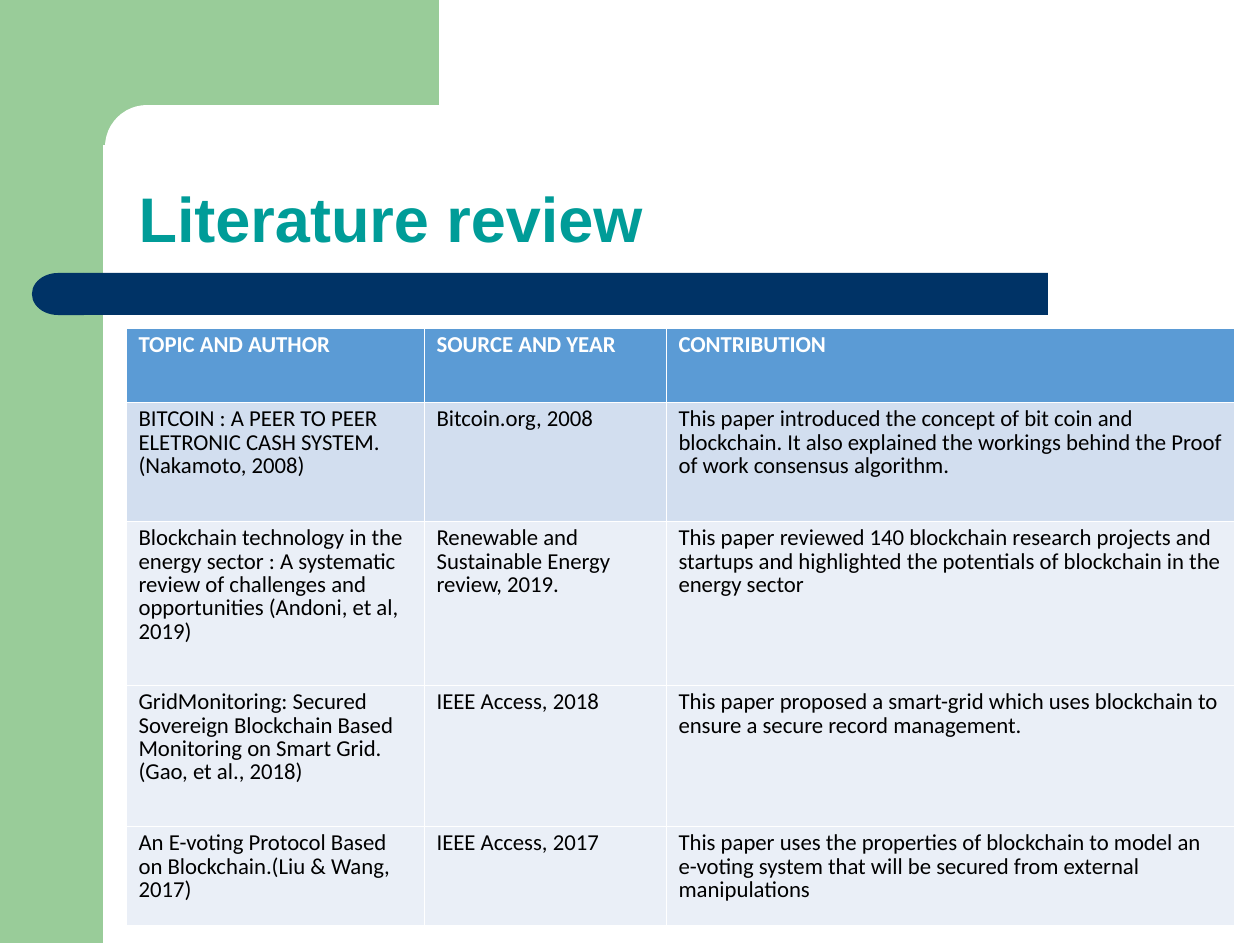
from dataclasses import dataclass

from lxml import etree
from pptx import Presentation
from pptx.dml.color import RGBColor
from pptx.enum.shapes import MSO_SHAPE
from pptx.enum.text import MSO_ANCHOR, MSO_AUTO_SIZE, PP_ALIGN
from pptx.oxml.ns import qn
from pptx.util import Emu, Pt

RECTANGLE = MSO_SHAPE.RECTANGLE
ROUNDED = MSO_SHAPE.ROUNDED_RECTANGLE
DELAY = MSO_SHAPE.FLOWCHART_DELAY
BOTTOM = MSO_ANCHOR.BOTTOM
TOP = MSO_ANCHOR.TOP
NO_FIT = MSO_AUTO_SIZE.NONE
LEFT = PP_ALIGN.LEFT

PX_PER_INCH = 126


@dataclass(frozen=True)
class Theme:
    green: str = "99CC99"
    navy: str = "003366"
    teal: str = "009C98"
    white: str = "FFFFFF"
    black: str = "000000"
    header: str = "5B9BD5"
    first_band: str = "D2DEEF"
    band: str = "EAEFF7"
    title_font: str = "Arial"
    table_font: str = "Calibri"
    title_size: int = 36
    table_size: int = 13
    border: float = 0.06


THEME = Theme()

COLUMNS = [298, 242, 568]
ROW_HEIGHTS = [74, 119, 164, 141, 99]
ROWS = [
    ("TOPIC AND AUTHOR", "SOURCE AND YEAR", "CONTRIBUTION"),
    (
        "BITCOIN : A PEER TO PEER ELETRONIC CASH SYSTEM. (Nakamoto, 2008)",
        "Bitcoin.org, 2008",
        "This paper introduced the concept of bit coin and blockchain. It also explained "
        "the workings behind the Proof of work consensus algorithm.",
    ),
    (
        "Blockchain technology in the energy sector : A systematic review of challenges "
        "and opportunities (Andoni, et al, 2019)",
        "Renewable and Sustainable Energy review, 2019.",
        "This paper reviewed 140 blockchain research projects and startups and highlighted "
        "the potentials of blockchain in the energy sector",
    ),
    (
        "GridMonitoring: Secured Sovereign Blockchain Based Monitoring on Smart Grid. "
        "(Gao, et al., 2018)",
        "IEEE Access, 2018",
        "This paper proposed a smart-grid which uses blockchain to ensure a secure record "
        "management.",
    ),
    (
        "An E-voting Protocol Based on Blockchain.(Liu & Wang, 2017)",
        "IEEE Access, 2017",
        "This paper uses the properties of blockchain to model an e-voting system that "
        "will be secured from external manipulations",
    ),
]


def px(length):
    return Emu(round(length * 914400 / PX_PER_INCH))


def color(value):
    return RGBColor.from_string(value)


def add_block(page, kind, box, fill):
    block = page.shapes.add_shape(kind, *map(px, box))
    block.shadow.inherit = False
    block.fill.solid()
    block.fill.fore_color.rgb = color(fill)
    block.line.fill.background()
    return block


def write(para, text, font, size, ink, bold, spacing):
    para.alignment = LEFT
    para.line_spacing = spacing
    span = para.add_run()
    span.text = text
    span.font.name = font
    span.font.size = Pt(size)
    span.font.bold = bold
    span.font.color.rgb = color(ink)


def add_corner(page, box):
    left, top, width, height = box
    side = 103
    add_block(page, RECTANGLE, (left, top, side, height), THEME.green)
    add_block(page, RECTANGLE, (left + 95, top, width - 95, 145), THEME.green)
    panel = add_block(page, ROUNDED, (left + 105, top + 105, 703, 84), THEME.white)
    panel.adjustments[0] = 0.5


def add_bar(page, box):
    left, top, width, height = box
    cap_width = 52
    add_block(page, RECTANGLE, (left + cap_width, top, width - cap_width, height), THEME.navy)
    cap = add_block(page, DELAY, (left, top, cap_width, height), THEME.navy)
    cap._element.spPr.find(qn("a:xfrm")).set("flipH", "1")


def place_title(page, box, text):
    title = page.shapes.title
    title.left, title.top, title.width, title.height = map(px, box)
    title._element.getparent().append(title._element)
    frame = title.text_frame
    frame.word_wrap = True
    frame.auto_size = NO_FIT
    frame.vertical_anchor = BOTTOM
    write(frame.paragraphs[0], text, THEME.title_font, THEME.title_size, THEME.teal, True, 0.9)


def set_borders(cell):
    properties = cell._tc.get_or_add_tcPr()
    for index, side in enumerate(("a:lnL", "a:lnR", "a:lnT", "a:lnB")):
        line = etree.Element(qn(side), w=str(Pt(THEME.border)))
        fill = etree.SubElement(line, qn("a:solidFill"))
        etree.SubElement(fill, qn("a:srgbClr"), val=THEME.white)
        properties.insert(index, line)


def add_review_table(page, left, top):
    box = (left, top, sum(COLUMNS), sum(ROW_HEIGHTS))
    table = page.shapes.add_table(len(ROWS), len(COLUMNS), *map(px, box)).table
    for column, width in zip(table.columns, COLUMNS):
        column.width = px(width)
    fills = [THEME.header, THEME.first_band] + [THEME.band] * (len(ROWS) - 2)
    for index, (row, height, texts) in enumerate(zip(table.rows, ROW_HEIGHTS, ROWS)):
        row.height = px(height)
        is_header = index == 0
        ink = THEME.white if is_header else THEME.black
        for cell, text in zip(row.cells, texts):
            cell.fill.solid()
            cell.fill.fore_color.rgb = color(fills[index])
            cell.vertical_anchor = TOP
            set_borders(cell)
            write(cell.text_frame.paragraphs[0], text, THEME.table_font,
                  THEME.table_size, ink, is_header, 0.84)


def main():
    deck = Presentation()
    deck.slide_width, deck.slide_height = px(1260), px(945)
    page = deck.slides.add_slide(deck.slide_layouts[5])
    page.background.fill.solid()
    page.background.fill.fore_color.rgb = color(THEME.white)
    add_corner(page, (0, 0, 439, 943))
    add_bar(page, (32, 273, 1016, 42))
    place_title(page, (126, 105, 1103, 157), "Literature review")
    add_review_table(page, 126, 328)
    deck.save("out.pptx")


if __name__ == "__main__":
    main()
